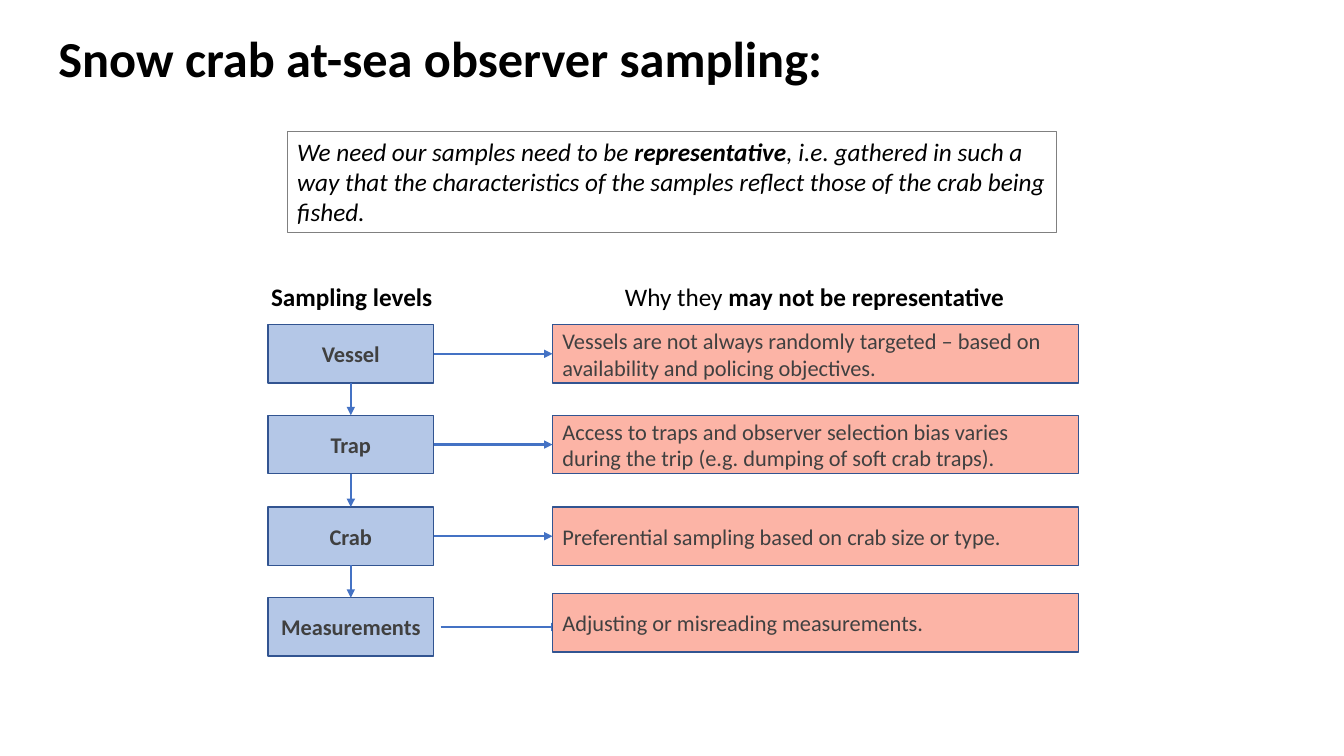
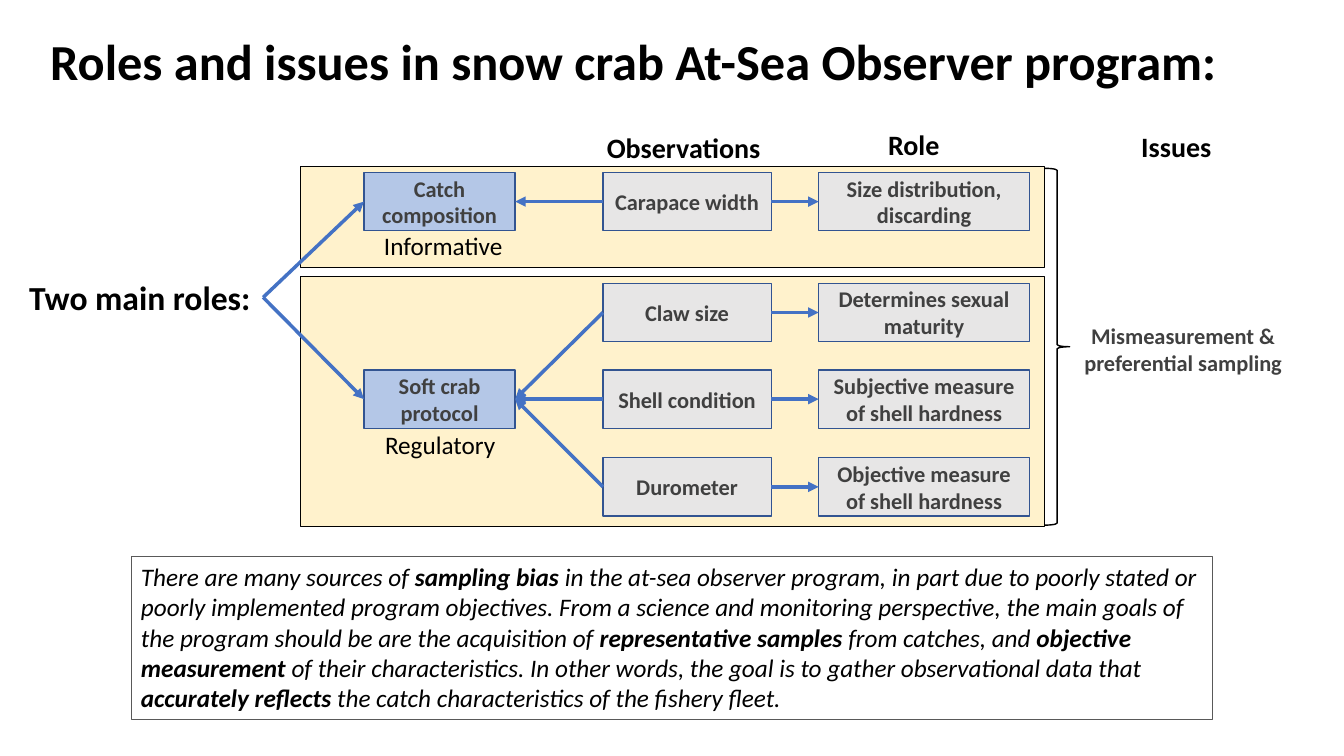
from dataclasses import dataclass

from lxml import etree
from pptx import Presentation
from pptx.dml.color import RGBColor
from pptx.enum.shapes import MSO_CONNECTOR, MSO_SHAPE
from pptx.enum.text import MSO_ANCHOR, PP_ALIGN
from pptx.oxml.ns import qn
from pptx.util import Emu, Pt

RECT = MSO_SHAPE.RECTANGLE
BRACE = MSO_SHAPE.RIGHT_BRACE
STRAIGHT = MSO_CONNECTOR.STRAIGHT
LEFT, CENTER = PP_ALIGN.LEFT, PP_ALIGN.CENTER
TOP_ANCHOR, MIDDLE = MSO_ANCHOR.TOP, MSO_ANCHOR.MIDDLE
TOP, LEFT_SIDE, BOTTOM, RIGHT_SIDE = range(4)  # connection sites
BLANK = 6
SCALE = 9144  # EMU per px, 100 px to the inch
BOX_H = 58


@dataclass(frozen=True)
class Theme:
    font: str = "Calibri"
    # Colours
    black: str = "000000"
    ink: str = "404040"
    border: str = "325491"
    arrow: str = "4472C4"
    blue: str = "B4C7E7"
    red: str = "FCB4A6"
    grey: str = "E7E6E6"
    cream: str = "FFF2CC"
    note_border: str = "808080"
    dark_border: str = "595959"
    # Type sizes in points
    title: int = 36
    lead: int = 24
    heading: int = 20
    body: int = 18
    box: int = 16


def px(n):
    return Emu(n * SCALE)


def rgb(value):
    return RGBColor.from_string(value)


class Deck:
    def __init__(self, theme):
        self.theme = theme
        self.prs = Presentation()
        self.prs.slide_width, self.prs.slide_height = px(1333), px(750)
        self.s = None

    def slide(self, title, x, y, w):
        self.s = self.prs.slides.add_slide(self.prs.slide_layouts[BLANK])
        sp = self.label(f"*{title}*", x, y, w, 65, self.theme.title, wrap=True)
        sp.text_frame.vertical_anchor = MIDDLE
        sp.text_frame.paragraphs[0].line_spacing = 0.9

    def set_text(self, sp, text, size, color, align=LEFT, italic=False):
        """Fill a shape with text; parts between asterisks are bold."""
        p = sp.text_frame.paragraphs[0]
        p.alignment = align
        for i, part in enumerate(text.split("*")):
            if part:
                r = p.add_run()
                r.text = part
                r.font.name = self.theme.font
                r.font.size = Pt(size)
                r.font.bold = i % 2 == 1
                r.font.italic = italic
                r.font.color.rgb = rgb(color)

    def label(self, text, x, y, w, h, size, color=None, align=LEFT, wrap=False):
        sp = self.s.shapes.add_textbox(px(x), px(y), px(w), px(h))
        sp.text_frame.word_wrap = wrap
        self.set_text(sp, text, size, color or self.theme.black, align)
        return sp

    def shape(self, x, y, w, h, line, weight, fill=None, kind=RECT):
        sp = self.s.shapes.add_shape(kind, px(x), px(y), px(w), px(h))
        sp.shadow.inherit = False
        if fill:
            sp.fill.solid()
            sp.fill.fore_color.rgb = rgb(fill)
        else:
            sp.fill.background()
        sp.line.color.rgb = rgb(line)
        sp.line.width = Pt(weight)
        return sp

    def box(self, text, x, y, w, fill, align=CENTER):
        sp = self.shape(x, y, w, BOX_H, self.theme.border, 1, fill)
        sp.text_frame.word_wrap = True
        sp.text_frame.vertical_anchor = MIDDLE
        self.set_text(sp, text, self.theme.box, self.theme.ink, align)
        return sp

    def note(self, text, x, y, w, h, line):
        sp = self.shape(x, y, w, h, line, 0.75)
        sp.text_frame.word_wrap = True
        sp.text_frame.vertical_anchor = TOP_ANCHOR
        self.set_text(sp, text, self.theme.body, self.theme.black, italic=True)

    def arrow(self, x1, y1, x2, y2, weight):
        c = self.s.shapes.add_connector(STRAIGHT, px(x1), px(y1), px(x2), px(y2))
        c.line.color.rgb = rgb(self.theme.arrow)
        c.line.width = Pt(weight)
        props = c._element.spPr
        etree.SubElement(props.find(qn("a:ln")), qn("a:tailEnd"), type="triangle")
        etree.SubElement(props, qn("a:effectLst"))
        return c

    def link(self, start, start_site, end, end_site, weight):
        c = self.arrow(0, 0, 0, 0, weight)
        c.begin_connect(start, start_site)
        c.end_connect(end, end_site)


def sampling_slide(deck):
    t = deck.theme
    deck.slide("Snow crab at-sea observer sampling:", 48, 28, 1150)
    deck.note("We need our samples need to be *representative*, i.e. gathered in such a way "
              "that the characteristics of the samples reflect those of the crab being fished.",
              285, 130, 763, 101, t.note_border)
    deck.label("*Sampling levels*", 259, 274, 181, 40, t.body)
    deck.label("Why they *may not be representative*", 610, 274, 397, 40, t.body)

    # Chain of sampling levels
    names = ("Vessel", "Trap", "Crab", "Measurements")
    tops = [322 + i * 181 // 2 for i in range(len(names))]
    levels = [deck.box(f"*{name}*", 266, y, 164, t.blue) for name, y in zip(names, tops)]
    for upper, lower in zip(levels, levels[1:]):
        deck.link(upper, BOTTOM, lower, TOP, 1.5)

    # Reasons; the last arrow is loose and runs under its box
    deck.arrow(437, 622, 555, 622, 1.5)
    reasons = (
        "Vessels are not always randomly targeted – based on availability and policing objectives.",
        "Access to traps and observer selection bias varies during the trip "
        "(e.g. dumping of soft crab traps).",
        "Preferential sampling based on crab size or type.",
        "Adjusting or misreading measurements.",
    )
    boxes = [deck.box(reason, 548, y, 522, t.red, LEFT)
             for reason, y in zip(reasons, tops[:3] + [589])]
    for level, reason in zip(levels[:3], boxes):
        deck.link(level, RIGHT_SIDE, reason, LEFT_SIDE, 1.5)


def roles_slide(deck):
    t = deck.theme
    deck.slide("Roles and issues in snow crab At-Sea Observer program:", 40, 31, 1210)

    # Bands behind the two roles
    for y, h in ((165, 100), (274, 248)):
        deck.shape(298, y, 738, h, t.black, 0.75, t.cream)

    # Column headings
    for text, x, y, w in (("Observations", 592, 125, 174), ("Role", 871, 122, 72),
                          ("Issues", 1122, 124, 91)):
        deck.label(f"*{text}*", x, y, w, 44, t.heading)

    # Two main roles
    lead = deck.label("*Two main roles:*", 19, 270, 242, 50, t.lead)
    catch = deck.box("*Catch composition*", 361, 171, 150, t.blue)
    soft = deck.box("*Soft crab protocol*", 361, 367, 150, t.blue)
    deck.label("Informative", 371, 224, 139, 40, t.body)
    deck.label("Regulatory", 372, 421, 131, 40, t.body)
    for role in (catch, soft):
        deck.link(lead, RIGHT_SIDE, role, LEFT_SIDE, 2.5)

    # Observations, each with its use
    rows = (
        (171, "Carapace width", "Size distribution, discarding", catch),
        (281, "Claw size", "Determines sexual maturity", soft),
        (367, "Shell condition", "Subjective measure of shell hardness", soft),
        (454, "Durometer", "Objective measure of shell hardness", soft),
    )
    for y, observation, use, role in rows:
        observed = deck.box(f"*{observation}*", 598, y, 167, t.grey)
        used = deck.box(f"*{use}*", 812, y, 209, t.grey)
        deck.link(observed, LEFT_SIDE, role, RIGHT_SIDE, 2.5)
        deck.link(observed, RIGHT_SIDE, used, LEFT_SIDE, 2.5)

    # Issues and conclusion
    deck.shape(1036, 167, 25, 354, t.black, 1, kind=BRACE)
    deck.label("*Mismeasurement & preferential sampling*", 1051, 315, 245, 64,
               t.box, t.ink, CENTER, wrap=True)
    deck.note("There are many sources of *sampling bias *in the at-sea observer program, in part "
              "due to poorly stated or poorly implemented program objectives. From a science and "
              "monitoring perspective, the main goals of the program should be are the "
              "acquisition of *representative samples *from catches, and *objective measurement* "
              "of their characteristics. In other words, the goal is to gather observational data "
              "that *accurately reflects *the catch characteristics of the fishery fleet.",
              130, 552, 1073, 162, t.dark_border)


def main():
    deck = Deck(Theme())
    sampling_slide(deck)
    roles_slide(deck)
    deck.prs.save("out.pptx")


if __name__ == "__main__":
    main()
